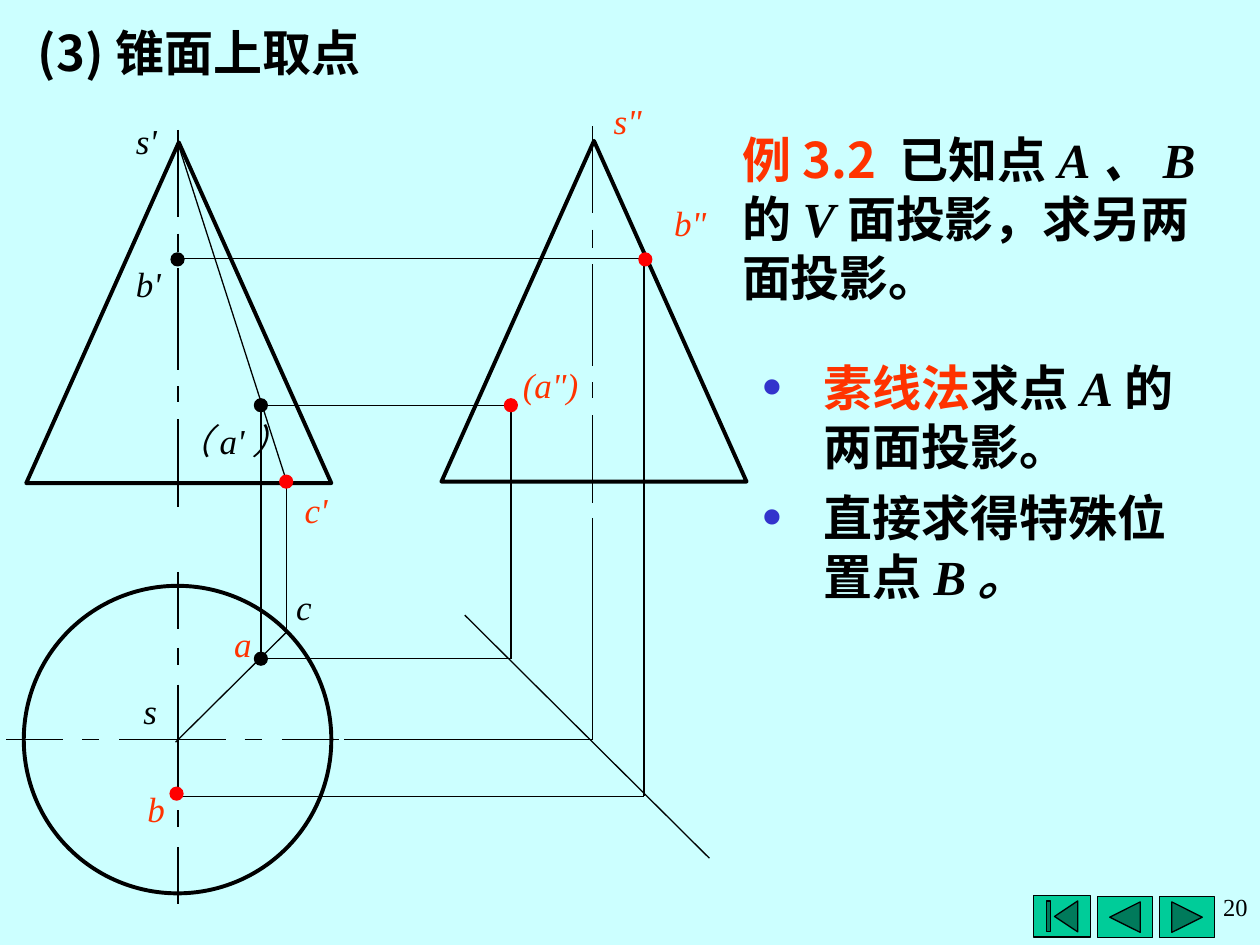
from lxml import etree
from pptx import Presentation
from pptx.dml.color import RGBColor
from pptx.enum.shapes import MSO_CONNECTOR, MSO_SHAPE
from pptx.enum.text import MSO_ANCHOR, MSO_AUTO_SIZE, PP_ALIGN
from pptx.oxml.ns import qn
from pptx.util import Cm, Pt

LINE = MSO_CONNECTOR.STRAIGHT
CONE = MSO_SHAPE.ISOSCELES_TRIANGLE
OVAL = MSO_SHAPE.OVAL
FIRST = MSO_SHAPE.ACTION_BUTTON_BEGINNING
BACK = MSO_SHAPE.ACTION_BUTTON_BACK_OR_PREVIOUS
NEXT = MSO_SHAPE.ACTION_BUTTON_FORWARD_OR_NEXT
LEFT, RIGHT = PP_ALIGN.LEFT, PP_ALIGN.RIGHT
MIDDLE = MSO_ANCHOR.MIDDLE
FIXED = MSO_AUTO_SIZE.NONE

HUES = {"back": "CCFFFF", "ink": "000000", "mark": "FF3300",
        "dot": "FF0000", "key": "00CC99", "bullet": "3333CC"}
SANS, SERIF = "Noto Sans CJK SC", "Times New Roman"

LONG = [(0, 1.75), (2.09, 2.45), (2.79, 4.84), (5.17, 5.49), (5.83, 7.6)]
SHORT = [(0, 1.15), (1.53, 1.87), (2.27, 4.43), (4.8, 5.15), (5.55, 6.7)]


def hue(name):
    return RGBColor.from_string(HUES[name])


class Sheet:
    def __init__(self, slide):
        self.slide = slide
        self.thin, self.thick = Pt(0.75), Pt(2.25)
        fill = slide.background.fill
        fill.solid()
        fill.fore_color.rgb = hue("back")

    def line(self, x1, y1, x2, y2):
        item = self.slide.shapes.add_connector(LINE, Cm(x1), Cm(y1), Cm(x2), Cm(y2))
        item.line.color.rgb = hue("ink")
        item.line.width = self.thin
        etree.SubElement(item._element.spPr, qn("a:effectLst"))

    def route(self, *points):
        for start, end in zip(points, points[1:]):
            self.line(*start, *end)

    def axis(self, x, y, dashes, across=False):
        for a, b in dashes:
            if across:
                self.line(x + a, y, x + b, y)
            else:
                self.line(x, y + a, x, y + b)

    def shape(self, kind, x, y, w, h, fill=None, edge="ink", width=None):
        item = self.slide.shapes.add_shape(kind, Cm(x), Cm(y), Cm(w), Cm(h))
        item.shadow.inherit = False
        if fill:
            item.fill.solid()
            item.fill.fore_color.rgb = hue(fill)
        else:
            item.fill.background()
        item.line.color.rgb = hue(edge)
        item.line.width = width or self.thin

    def dot(self, x, y, color):
        self.shape(OVAL, x - 0.13, y - 0.13, 0.26, 0.26, color, color)

    def run(self, para, text, size, font, color="ink", bold=False, slant=False):
        run = para.add_run()
        run.text = text
        face = run.font
        face.size, face.name, face.bold, face.italic = Pt(size), font, bold, slant
        face.color.rgb = hue(color)
        etree.SubElement(run._r.get_or_add_rPr(), qn("a:ea"), typeface=SANS)

    def rich(self, para, parts):
        for text, font, color in parts:
            self.run(para, text, 28, font, color, True, font == SERIF)

    def box(self, x, y, w, h):
        frame = self.slide.shapes.add_textbox(Cm(x), Cm(y), Cm(w), Cm(h)).text_frame
        frame.word_wrap = True
        return frame

    def label(self, text, x, y, w, color):
        para = self.box(x, y, w, 1.12).paragraphs[0]
        self.run(para, text, 20, SERIF, color, slant=True)

    def title(self, text, x, y, w, h):
        item = self.slide.shapes.title
        item.left, item.top, item.width, item.height = Cm(x), Cm(y), Cm(w), Cm(h)
        frame = item.text_frame
        frame.auto_size = FIXED
        frame.vertical_anchor = MIDDLE
        para = frame.paragraphs[0]
        para.alignment = LEFT
        self.rich(para, [(text, SANS, "ink")])

    def bullets(self, items, x, y, w, h):
        frame = self.box(x, y, w, h)
        for i, parts in enumerate(items):
            para = frame.add_paragraph() if i else frame.paragraphs[0]
            if i:
                para.space_before = Pt(7)
            props = para._p.get_or_add_pPr()
            props.set("marL", str(Cm(1.27)))
            props.set("indent", str(Cm(-1.27)))
            tint = etree.SubElement(props, qn("a:buClr"))
            etree.SubElement(tint, qn("a:srgbClr"), val=HUES["bullet"])
            etree.SubElement(props, qn("a:buSzPct"), val="130000")
            etree.SubElement(props, qn("a:buFont"), typeface=SERIF)
            etree.SubElement(props, qn("a:buChar"), char="•")
            self.rich(para, parts)


def draw(sheet):
    front, side, level = 3.59, 11.95, 14.91
    ax, ay, az, aw = 5.26, 13.28, 8.17, 10.3
    bx, by, bz = 12.98, 16.05, 5.21
    cx, cy, cz = 5.77, 12.75, 9.68

    sheet.axis(0.13, level, SHORT, across=True)
    sheet.axis(front, 11.53, SHORT)
    sheet.axis(side, 2.54, LONG)
    sheet.axis(front, 2.62, LONG)

    sheet.shape(OVAL, 0.48, 11.81, 6.2, 6.2, width=sheet.thick)
    for x, y in [(0.53, 2.87), (8.9, 2.84)]:
        sheet.shape(CONE, x, y, 6.15, 6.87, width=sheet.thick)

    sheet.route((front, bz), (bx, bz), (bx, by), (front, by))
    sheet.route((ax, az), (aw, az), (aw, ay), (ax, ay), (ax, az))
    sheet.route((front, 2.9), (cx, cz), (cx, cy), (front - 0.05, level + 0.05))
    sheet.route((side, 10.44), (side, level), (6.93, level))
    sheet.line(14.3, 17.3, 9.37, 12.4)

    for x, y, color in [(bx + 0.03, bz + 0.02, "dot"), (front - 0.01, bz + 0.02, "ink"),
                        (aw, az, "dot"), (cx, cz + 0.03, "dot"), (ax, az, "ink"),
                        (ax, ay, "ink"), (front - 0.03, by - 0.05, "dot")]:
        sheet.dot(x, y, color)

    for tag in [("(a\")", 10.29, 7.21, 1.91, "mark"), ("a", 4.47, 12.42, 0.79, "mark"),
                ("b", 2.72, 15.75, 0.99, "mark"), ("（a'）", 3.3, 8.33, 2.77, "ink"),
                ("c'", 5.89, 9.73, 1.8, "mark"), ("c", 5.72, 11.68, 0.99, "ink"),
                ("b\"", 13.34, 3.94, 1.8, "mark"), ("s\"", 12.12, 1.88, 1.8, "mark"),
                ("s'", 2.49, 2.29, 1.8, "ink"), ("s", 2.64, 13.77, 0.99, "ink"),
                ("b'", 2.49, 5.16, 1.47, "ink")]:
        sheet.label(*tag)


def main():
    deck = Presentation()
    deck.slide_width, deck.slide_height = Cm(25.4), Cm(19.05)
    sheet = Sheet(deck.slides.add_slide(deck.slide_layouts[5]))

    sheet.title("(3)锥面上取点", 0.51, 0.33, 12.4, 1.45)
    for kind, x, y, w, h in [(FIRST, 20.84, 18.06, 1.15, 0.83),
                             (BACK, 22.12, 18.08, 1.12, 0.82),
                             (NEXT, 23.37, 18.08, 1.12, 0.82)]:
        sheet.shape(kind, x, y, w, h, "key")
    draw(sheet)

    task = sheet.box(14.71, 2.49, 10.49, 3.81).paragraphs[0]
    sheet.rich(task, [("例3.2 ", SANS, "mark"), ("已知点", SANS, "ink"),
                      ("A、B", SERIF, "ink"), ("的", SANS, "ink"),
                      ("V", SERIF, "ink"), ("面投影，求另两面投影。", SANS, "ink")])
    sheet.bullets([
        [("素线法", SANS, "mark"), ("求点", SANS, "ink"),
         ("A", SERIF, "ink"), ("的两面投影。", SANS, "ink")],
        [("直接求得特殊位置点", SANS, "ink"), ("B", SERIF, "ink"),
         ("。", SERIF, "ink")],
    ], 15.09, 7.09, 9.6, 5.26)

    page = sheet.box(19, 17.86, 6.4, 1.18).paragraphs[0]
    page.alignment = RIGHT
    sheet.run(page, "20", 14, SERIF)
    deck.save("out.pptx")


if __name__ == "__main__":
    main()
